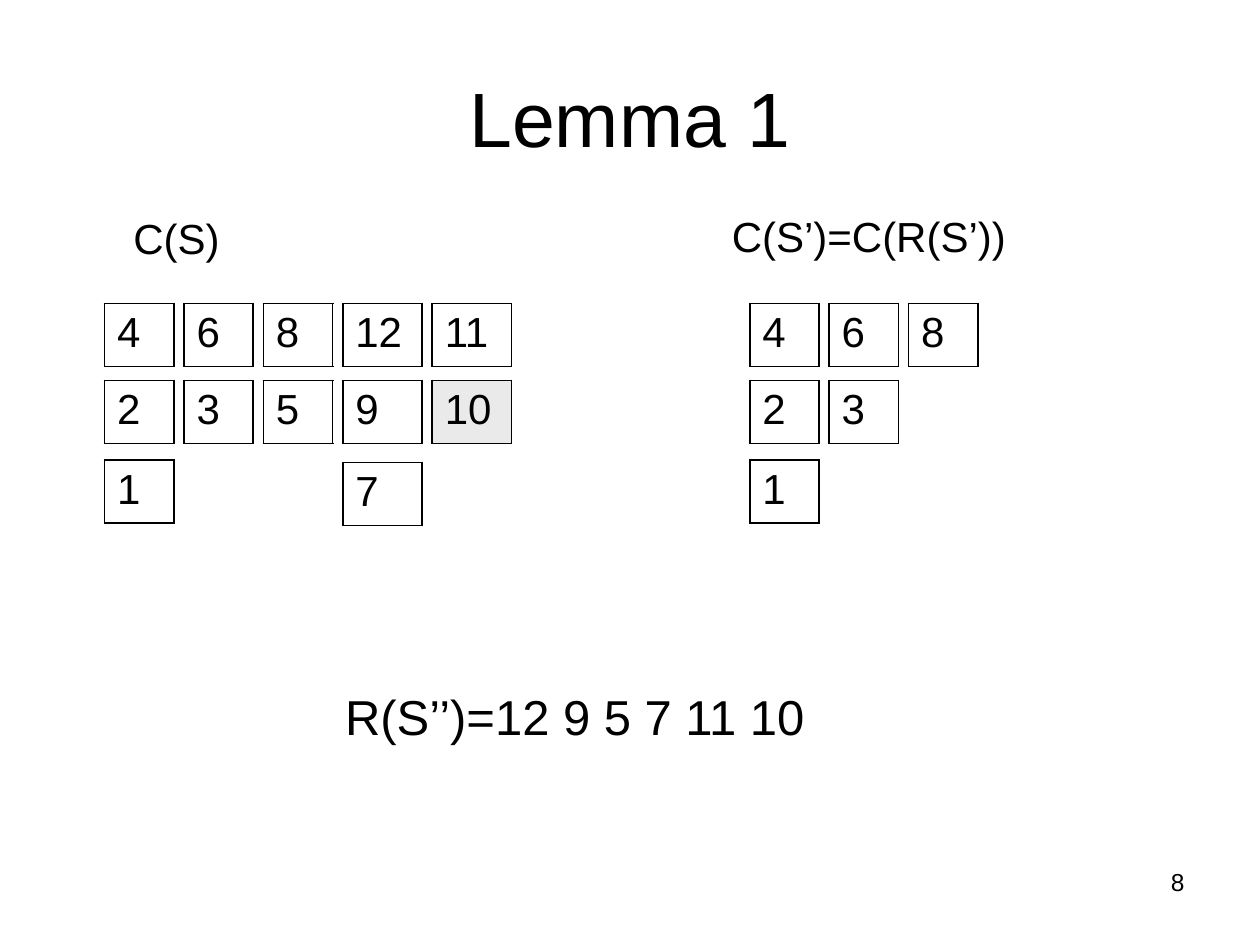
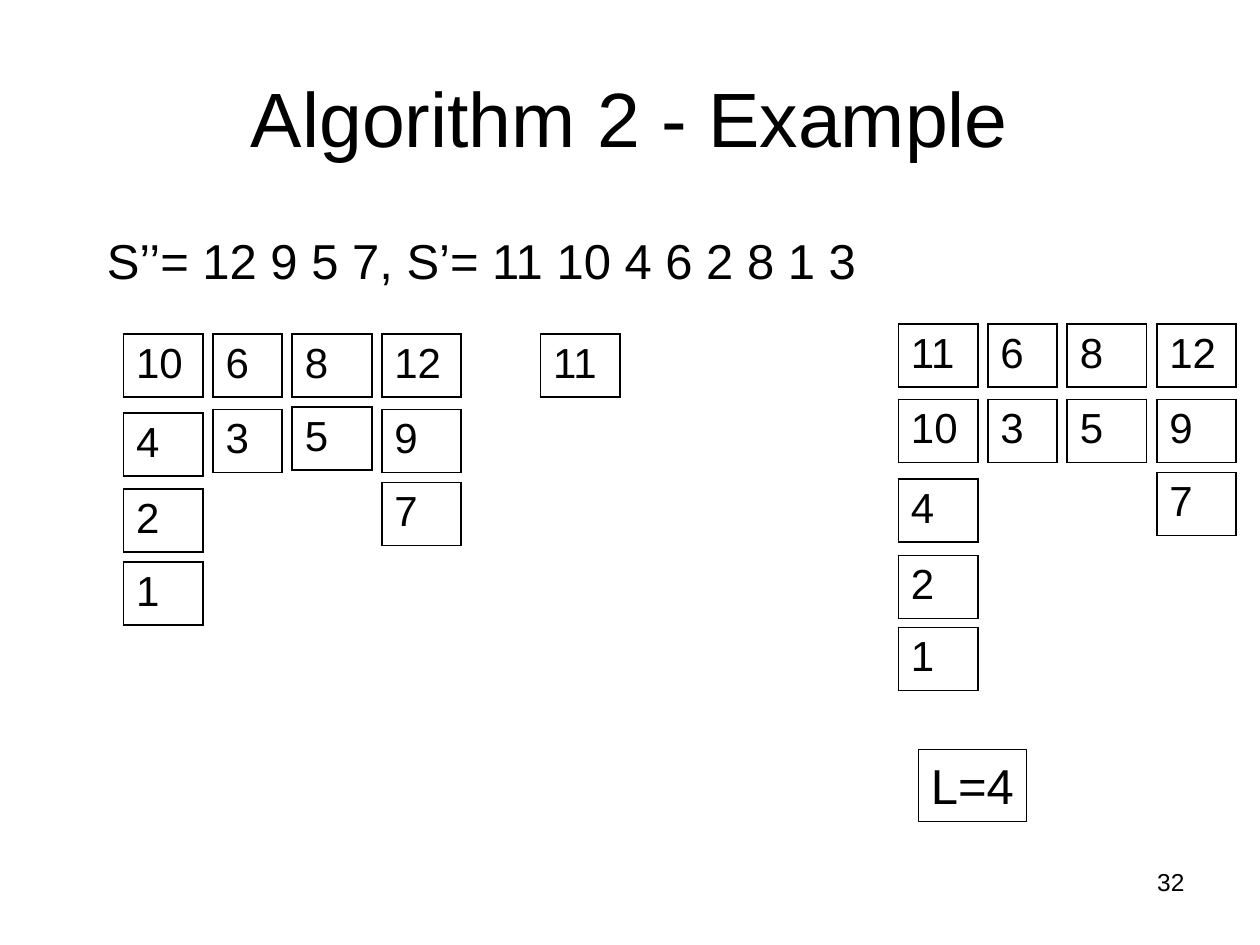
import dataclasses
import typing

import lxml.etree
import pptx
import pptx.dml.color
import pptx.enum.shapes
import pptx.enum.text
import pptx.oxml.ns
import pptx.util

EMU_PER_PX = 9144
FONT = "Arial"
BLACK = pptx.dml.color.RGBColor(0x00, 0x00, 0x00)
WHITE = pptx.dml.color.RGBColor(0xFF, 0xFF, 0xFF)
HIGHLIGHT = pptx.dml.color.RGBColor(0xEA, 0xEA, 0xEA)
BORDER_WIDTH = pptx.util.Pt(1.08)

TITLE_ONLY = 5
CELL_HEIGHT = 50
COLUMN_GAP = 8
NARROW = 55
WIDE = 63
LABEL_SIZE = 24
SEQUENCE_SIZE = 28

ALIGN = pptx.enum.text.PP_ALIGN
ANCHOR = pptx.enum.text.MSO_ANCHOR
AUTO_SIZE = pptx.enum.text.MSO_AUTO_SIZE


@dataclasses.dataclass(frozen=True)
class Area:
    left: int
    top: int
    width: int
    height: int

    def emu(self) -> tuple[pptx.util.Emu, ...]:
        return tuple(pptx.util.Emu(px * EMU_PER_PX) for px in dataclasses.astuple(self))


@dataclasses.dataclass(frozen=True)
class Column:
    width: int
    numbers: tuple[int, ...]
    tops: tuple[int, ...]


@dataclasses.dataclass(frozen=True)
class Cover:
    left: int
    columns: tuple[Column, ...]
    highlighted: typing.Optional[int] = None


@dataclasses.dataclass(frozen=True)
class Caption:
    text: str
    area: Area
    size: int = LABEL_SIZE
    wrap: bool = False
    framed: bool = False
    align: ALIGN = ALIGN.LEFT
    auto_size: AUTO_SIZE = AUTO_SIZE.SHAPE_TO_FIT_TEXT


@dataclasses.dataclass(frozen=True)
class Page:
    title: str
    number: int
    covers: tuple[Cover, ...]
    captions: tuple[Caption, ...]


TITLE_AREA = Area(50, 30, 900, 125)
NUMBER_AREA = Area(717, 683, 233, 52)

LEMMA_ROWS = (241, 302, 365)
LEMMA_PAGE = Page(
    "Lemma 1",
    8,
    (
        Cover(83, (
            Column(NARROW, (4, 2, 1), LEMMA_ROWS),
            Column(NARROW, (6, 3), LEMMA_ROWS),
            Column(NARROW, (8, 5), LEMMA_ROWS),
            Column(WIDE, (12, 9, 7), (241, 302, 367)),
            Column(WIDE, (11, 10), LEMMA_ROWS),
        ), highlighted=10),
        Cover(595, (
            Column(NARROW, (4, 2, 1), LEMMA_ROWS),
            Column(NARROW, (6, 3), LEMMA_ROWS),
            Column(NARROW, (8,), LEMMA_ROWS),
        )),
    ),
    (
        Caption("C(S)", Area(96, 164, 89, 50)),
        Caption("C(S’)=C(R(S’))", Area(571, 162, 238, 50)),
        Caption("R(S’’)=12 9 5 7 11 10", Area(264, 540, 388, 57), SEQUENCE_SIZE),
    ),
)

BEFORE_ROWS = (265, 325, 383)
AFTER_ROWS = (257, 317, 375)
EXAMPLE_PAGE = Page(
    "Algorithm 2 - Example",
    32,
    (
        Cover(98, (
            Column(WIDE, (10, 4, 2, 1), (265, 328, 388, 446)),
            Column(NARROW, (6, 3), BEFORE_ROWS),
            Column(WIDE, (8, 5), (265, 323)),
            Column(WIDE, (12, 9, 7), BEFORE_ROWS),
        )),
        Cover(429, (Column(WIDE, (11,), BEFORE_ROWS),)),
        Cover(713, (
            Column(WIDE, (11, 10, 4, 2, 1), (257, 317, 380, 441, 498)),
            Column(NARROW, (6, 3), AFTER_ROWS),
            Column(WIDE, (8, 5), AFTER_ROWS),
            Column(WIDE, (12, 9, 7), AFTER_ROWS),
        )),
    ),
    (
        Caption("S’’= 12 9 5 7, S’= 11 10 4 6 2 8 1 3",
                Area(75, 178, 677, 57), SEQUENCE_SIZE, wrap=True),
        Caption("L=4", Area(729, 595, 86, 57), SEQUENCE_SIZE, framed=True),
    ),
)


def write_text(frame, text: str, *, size: int, align: ALIGN = ALIGN.LEFT,
               wrap: typing.Optional[bool] = None) -> None:
    frame.word_wrap = wrap
    para = frame.paragraphs[0]
    para.alignment = align
    span = para.add_run()
    span.text = text
    span.font.name = FONT
    span.font.size = pptx.util.Pt(size)
    span.font.color.rgb = BLACK


def add_borders(cell) -> None:
    properties = cell._tc.get_or_add_tcPr()
    qualify = pptx.oxml.ns.qn
    for side in ("lnL", "lnR", "lnT", "lnB"):
        line = lxml.etree.SubElement(properties, qualify(f"a:{side}"), w=str(BORDER_WIDTH))
        fill = lxml.etree.SubElement(line, qualify("a:solidFill"))
        lxml.etree.SubElement(fill, qualify("a:srgbClr"), val=str(BLACK))


def draw_number(slide, number: int, area: Area, highlighted: bool) -> None:
    table = slide.shapes.add_table(1, 1, *area.emu()).table
    table.first_row = False
    table.horz_banding = False
    cell = table.cell(0, 0)
    add_borders(cell)
    if highlighted:
        cell.fill.solid()
        cell.fill.fore_color.rgb = HIGHLIGHT
    else:
        cell.fill.background()
    write_text(cell.text_frame, str(number), size=LABEL_SIZE)


def draw_cover(slide, cover: Cover) -> None:
    left = cover.left
    for column in cover.columns:
        for number, top in zip(column.numbers, column.tops):
            area = Area(left, top, column.width, CELL_HEIGHT)
            draw_number(slide, number, area, number == cover.highlighted)
        left += column.width + COLUMN_GAP


def draw_caption(slide, caption: Caption) -> None:
    if caption.framed:
        box = slide.shapes.add_shape(
            pptx.enum.shapes.MSO_SHAPE.RECTANGLE, *caption.area.emu())
        box.shadow.inherit = False
        box.fill.background()
        box.line.color.rgb = BLACK
        box.line.width = pptx.util.Pt(0.75)
    else:
        box = slide.shapes.add_textbox(*caption.area.emu())
    box.text_frame.auto_size = caption.auto_size
    box.text_frame.vertical_anchor = ANCHOR.TOP
    write_text(box.text_frame, caption.text, size=caption.size,
               align=caption.align, wrap=caption.wrap)


def draw_title(slide, title: str) -> None:
    box = slide.shapes.title
    box.left, box.top, box.width, box.height = TITLE_AREA.emu()
    box.text_frame.auto_size = AUTO_SIZE.NONE
    box.text_frame.vertical_anchor = ANCHOR.MIDDLE
    write_text(box.text_frame, title, size=44, align=ALIGN.CENTER, wrap=True)


def draw_page(deck, page: Page) -> None:
    slide = deck.slides.add_slide(deck.slide_layouts[TITLE_ONLY])
    slide.background.fill.solid()
    slide.background.fill.fore_color.rgb = WHITE
    draw_title(slide, page.title)
    for cover in page.covers:
        draw_cover(slide, cover)
    footer = Caption(str(page.number), NUMBER_AREA, 14, wrap=True,
                     align=ALIGN.RIGHT, auto_size=AUTO_SIZE.NONE)
    for caption in (*page.captions, footer):
        draw_caption(slide, caption)


def main() -> None:
    deck = pptx.Presentation()
    deck.slide_width = pptx.util.Emu(1000 * EMU_PER_PX)
    deck.slide_height = pptx.util.Emu(750 * EMU_PER_PX)
    for page in (LEMMA_PAGE, EXAMPLE_PAGE):
        draw_page(deck, page)
    deck.save("out.pptx")


if __name__ == "__main__":
    main()
